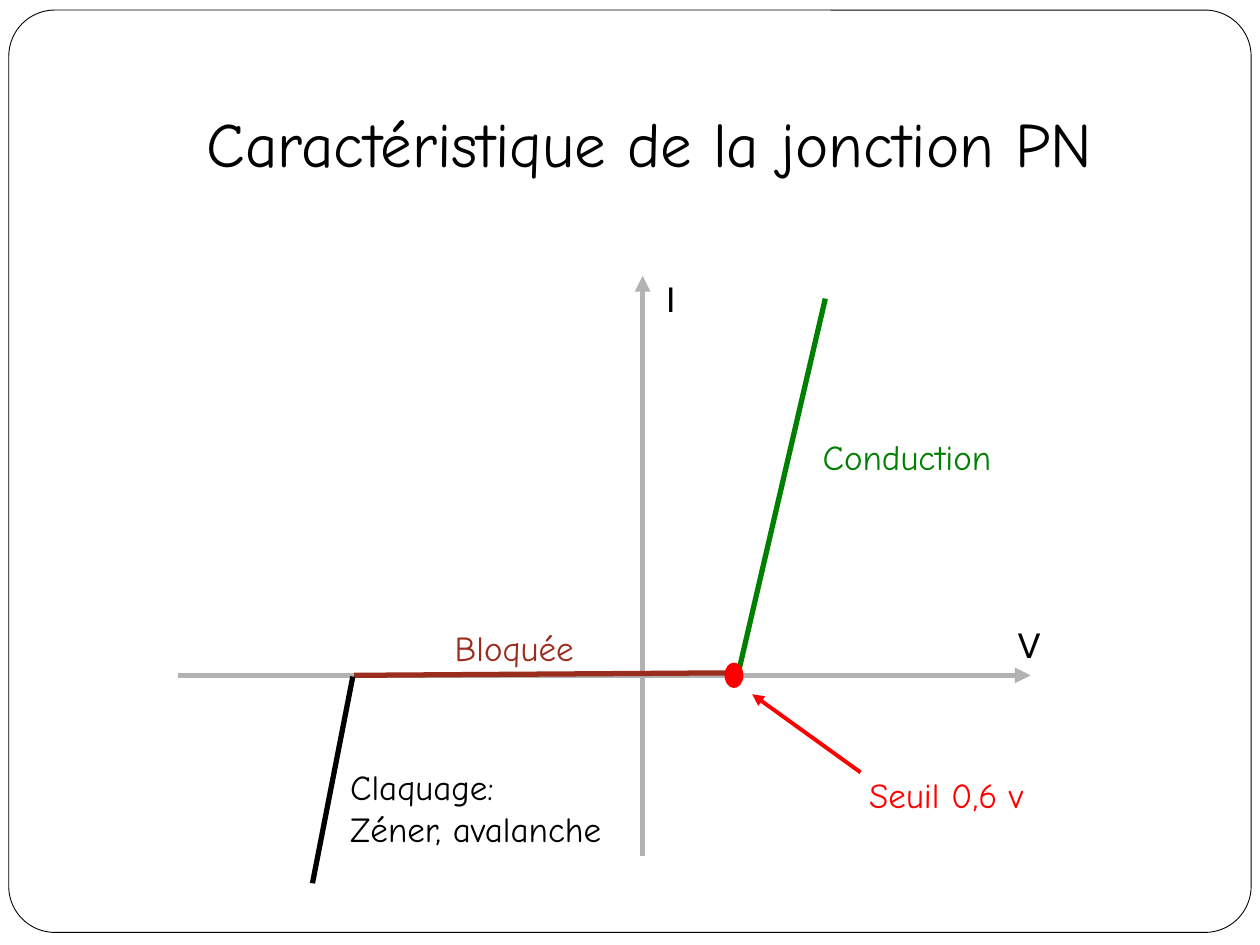
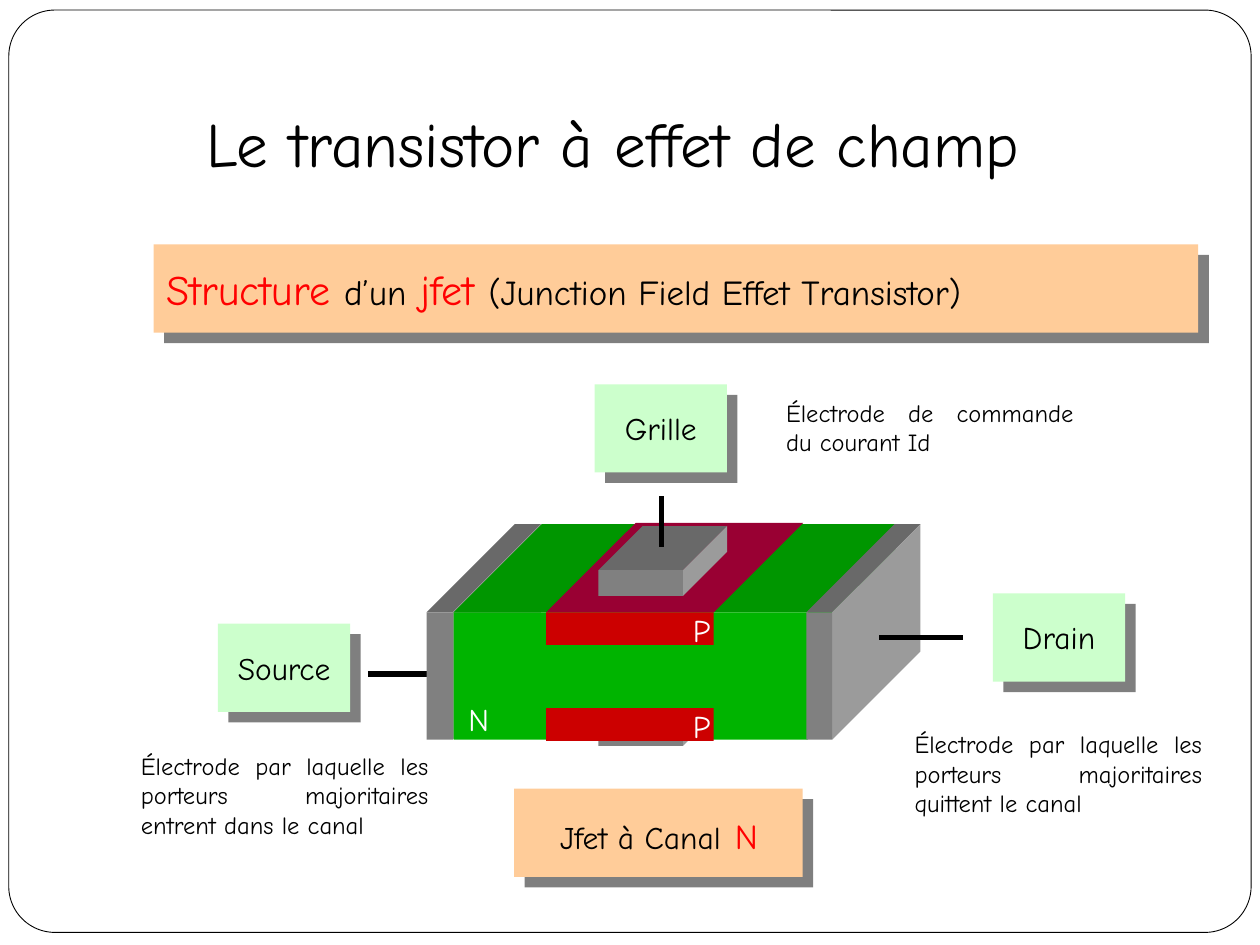
from dataclasses import dataclass
from typing import NamedTuple

from lxml.etree import SubElement
from pptx import Presentation
from pptx.dml.color import RGBColor
from pptx.enum.shapes import MSO_CONNECTOR, MSO_SHAPE
from pptx.enum.text import PP_ALIGN
from pptx.oxml.ns import qn
from pptx.util import Inches, Pt

COLS = 100
WIDTH, HEIGHT = Inches(10), Inches(7.5)
UNIT = WIDTH / COLS

HAND, SANS = "Comic Neue", "Cabin"
BLACK, WHITE, RED, GREY = "000000", "FFFFFF", "FF0000", "B2B2B2"
GREEN, BROWN, PEACH, MINT = "008000", "9B2D1F", "FFCC99", "CCFFCC"
DARK_RED, WINE = "CC0000", "990033"
STEEL = ("808080", "696969", "9B9B9B")
LEAF = ("00B400", "009600", "00B400")


class Box(NamedTuple):
    left: float
    top: float
    width: float
    height: float


class Run(NamedTuple):
    text: str
    size: int
    color: str = BLACK


@dataclass
class Label:
    box: Box
    lines: list[list[Run]]
    align: PP_ALIGN = PP_ALIGN.LEFT
    wrap: bool = False
    font: str = HAND


@dataclass
class Line:
    start: tuple[float, float]
    end: tuple[float, float]
    color: str = BLACK
    width: float = 3
    arrow: bool = False


@dataclass
class Prism:
    front: Box
    depth: float
    colors: tuple[str, str, str]


@dataclass
class Card:
    box: Box
    fill: str
    label: Label


def grid(cells: float) -> int:
    return round(cells * UNIT)


def rgb(code: str) -> RGBColor:
    return RGBColor.from_string(code)


def paint(shape, fill: str) -> None:
    shape.shadow.inherit = False
    shape.fill.solid()
    shape.fill.fore_color.rgb = rgb(fill)
    shape.line.fill.background()


def add_block(slide, box: Box, fill: str, kind=MSO_SHAPE.RECTANGLE):
    shape = slide.shapes.add_shape(kind, *map(grid, box))
    paint(shape, fill)
    return shape


def add_face(slide, points: list[tuple[float, float]], fill: str) -> None:
    first, *rest = [(grid(x), grid(y)) for x, y in points]
    pen = slide.shapes.build_freeform(*first, scale=1.0)
    pen.add_line_segments(rest, close=True)
    paint(pen.convert_to_shape(), fill)


def add_top(slide, box: Box, depth: float, fill: str) -> None:
    x, y, right = box.left, box.top, box.left + box.width
    add_face(slide, [(x, y), (x + depth, y - depth),
                     (right + depth, y - depth), (right, y)], fill)


def add_prism(slide, prism: Prism) -> None:
    box, depth = prism.front, prism.depth
    front, top, side = prism.colors
    right, base = box.left + box.width, box.top + box.height
    add_top(slide, box, depth, top)
    add_face(slide, [(right, box.top), (right + depth, box.top - depth),
                     (right + depth, base - depth), (right, base)], side)
    add_block(slide, box, front)


def add_line(slide, line: Line) -> None:
    wire = slide.shapes.add_connector(
        MSO_CONNECTOR.STRAIGHT, *map(grid, line.start + line.end))
    wire.line.color.rgb = rgb(line.color)
    wire.line.width = Pt(line.width)
    props = wire.element.spPr
    if line.arrow:
        SubElement(props.find(qn("a:ln")), qn("a:tailEnd"), type="triangle")
    SubElement(props, qn("a:effectLst"))


def style(font, run: Run, name: str) -> None:
    font.name, font.size = name, Pt(run.size)
    font.color.rgb = rgb(run.color)


def add_label(slide, label: Label) -> None:
    frame = slide.shapes.add_textbox(*map(grid, label.box)).text_frame
    frame.word_wrap = label.wrap
    for index, runs in enumerate(label.lines):
        para = frame.add_paragraph() if index else frame.paragraphs[0]
        para.alignment = label.align
        style(para.font, runs[0], label.font)
        for run in runs:
            piece = para.add_run()
            piece.text = run.text
            if run[1:] != runs[0][1:]:
                style(piece.font, run, label.font)


def add_card(slide, card: Card) -> None:
    shape = add_block(slide, card.box, card.fill)
    effect = shape.element.spPr.find(qn("a:effectLst"))
    shade = SubElement(effect, qn("a:outerShdw"), blurRad="0", dist=str(Pt(8.5)),
                       dir="2700000", algn="tl", rotWithShape="0")
    tint = SubElement(shade, qn("a:srgbClr"), val=BLACK)
    SubElement(tint, qn("a:alpha"), val="50000")
    add_label(slide, card.label)


def plain(box: Box, text: str, size: int = 20, color: str = BLACK,
          font: str = HAND) -> Label:
    return Label(box, [[Run(row, size, color)] for row in text.split("\n")], font=font)


def note(box: Box, text: str, size: int = 14, color: str = BLACK) -> Label:
    return Label(box, [[Run(text, size, color)]], PP_ALIGN.JUSTIFY, True)


def pin_card(left: float, top: float, text: str) -> Card:
    label = Label(Box(left - 0.25, top + 1.5, 11, 4), [[Run(text, 18)]],
                  PP_ALIGN.CENTER, True)
    return Card(Box(left, top, 10.5, 7), MINT, label)


def add_slide(deck, title: str):
    slide = deck.slides.add_slide(deck.slide_layouts[6])
    frame = add_block(slide, Box(0.7, 0.8, 98.6, 73.2), WHITE,
                      MSO_SHAPE.ROUNDED_RECTANGLE)
    frame.adjustments[0] = 0.05
    frame.line.color.rgb = rgb(BLACK)
    frame.line.width = Pt(0.5)
    add_label(slide, plain(Box(15.4, 7.8, 79.2, 7), title, 36))
    return slide


def draw_curve(deck) -> None:
    slide = add_slide(deck, "Caractéristique de la jonction PN")
    for line in (
        Line((51, 67.9), (51, 21.9), GREY, arrow=True),
        Line((14.1, 53.6), (81.8, 53.6), GREY, arrow=True),
        Line((68.3, 61.3), (59.7, 55.1), RED, 2.25, True),
        Line((58.6, 53.4), (65.5, 23.7), GREEN),
        Line((58.4, 53.4), (28.1, 53.6), BROWN),
        Line((28, 53.7), (24.8, 70.1)),
    ):
        add_line(slide, line)
    for label in (
        plain(Box(68, 60.9, 15.6, 4.3), "Seuil 0,6 v", color=RED),
        plain(Box(64.3, 34.1, 16.1, 4.3), "Conduction", color=GREEN),
        plain(Box(35.1, 49.2, 11.9, 4.3), "Bloquée", color=BROWN),
        plain(Box(26.8, 60.3, 23.8, 7.7), "Claquage:\nZéner, avalanche"),
        plain(Box(79.8, 49, 3.7, 4.3), "V", font=SANS),
        plain(Box(51.9, 21.5, 3.1, 4.3), "I", font=SANS),
    ):
        add_label(slide, label)
    add_block(slide, Box(57.5, 52.6, 1.5, 2), RED, MSO_SHAPE.OVAL)


def draw_jfet(deck) -> None:
    slide = add_slide(deck, "Le transistor à effet de champ")
    top, tall, deep = 48.6, 10.1, 7
    add_line(slide, Line((29.2, 53.5), (35.7, 53.5)))
    for prism in (
        Prism(Box(33.85, top, 2.1, tall), deep, STEEL),
        Prism(Box(47.5, 57.1, 6.7, 2.1), 3.5, STEEL),
        Prism(Box(36, top, 28.1, tall), deep, LEAF),
        Prism(Box(64, top, 2.05, tall), deep, STEEL),
    ):
        add_prism(slide, prism)
    gate = Box(43.35, top, 13.3, 2.6)
    add_top(slide, gate, deep + 0.1, WINE)
    for place in (gate, gate._replace(top=56.2)):
        add_block(slide, place, DARK_RED)
        add_label(slide, note(Box(54, place.top - 0.6, 3.6, 4), "P", 18, WHITE))
    add_label(slide, note(Box(36.2, 55.1, 4.6, 4), "N", 18, WHITE))
    add_prism(slide, Prism(Box(47.5, 45.25, 6.7, 2.05), 3.5, STEEL))
    add_line(slide, Line((69.8, 50.6), (76.4, 50.6)))
    add_line(slide, Line((52.5, 43.4), (52.5, 39.4)))

    head = [Run("Structure ", 24, RED), Run("d’un", 20), Run(" jfet ", 24, RED),
            Run("(Junction Field Effet Transistor)", 20)]
    foot = [Run("Jfet à Canal", 18), Run(" ", 24, RED), Run("N", 20, RED)]
    for card in (
        Card(Box(12.2, 19.4, 82.9, 7), PEACH,
             Label(Box(12.2, 20.4, 82.2, 5), [head], PP_ALIGN.JUSTIFY, True)),
        Card(Box(40.8, 62.6, 22.9, 7), PEACH,
             Label(Box(41.4, 63.6, 21.8, 5), [foot], PP_ALIGN.CENTER, True)),
        pin_card(47.2, 30.5, "Grille"),
        pin_card(17.3, 49.5, "Source"),
        pin_card(78.8, 47.1, "Drain"),
    ):
        add_card(slide, card)
    path = "Électrode par laquelle les porteurs majoritaires {} le canal"
    for left, y, text in (
        (10.2, 59.1, path.format("entrent dans")),
        (71.6, 57.4, path.format("quittent")),
        (61.4, 31.1, "Électrode de commande du courant Id"),
    ):
        add_label(slide, note(Box(left, y, 24.8, 8), text))


def main() -> None:
    deck = Presentation()
    deck.slide_width, deck.slide_height = WIDTH, HEIGHT
    draw_curve(deck)
    draw_jfet(deck)
    deck.save("out.pptx")


if __name__ == "__main__":
    main()
